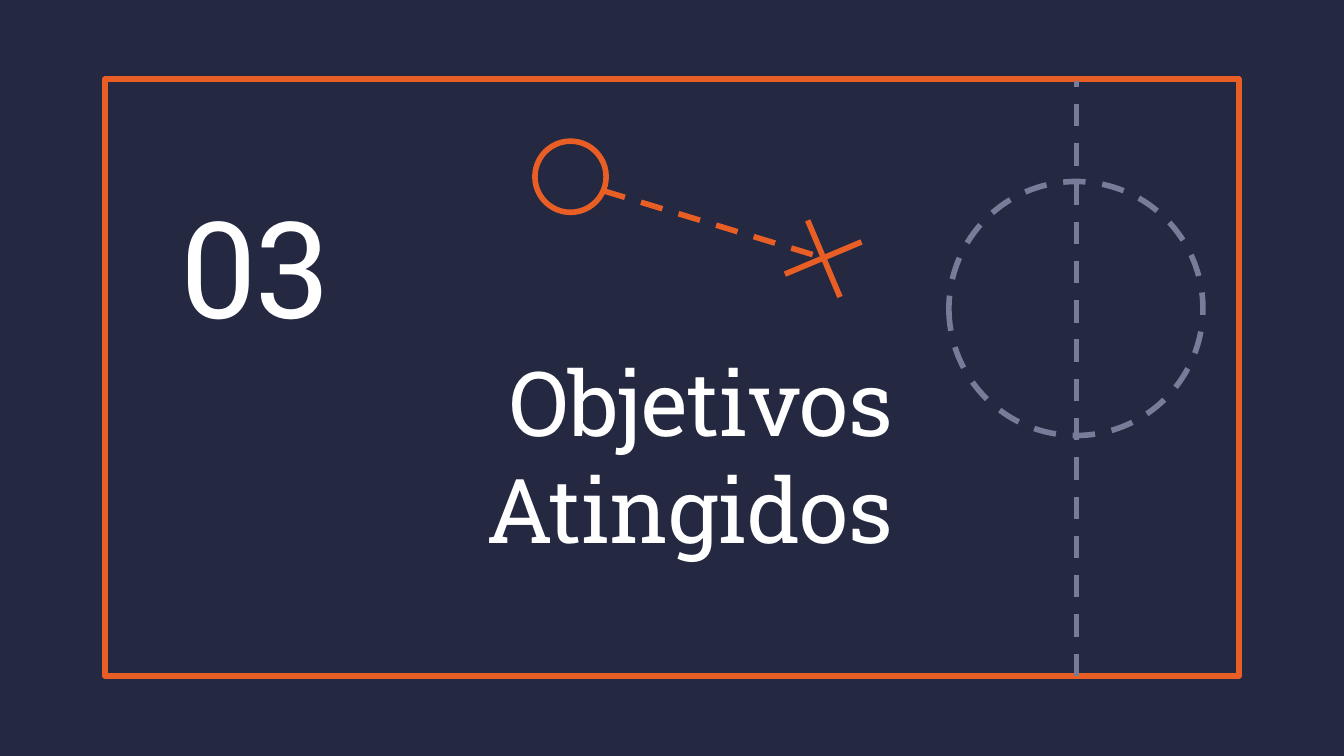
from lxml import etree
from pptx import Presentation
from pptx.dml.color import RGBColor
from pptx.enum.dml import MSO_LINE
from pptx.enum.shapes import MSO_CONNECTOR, MSO_SHAPE
from pptx.enum.text import MSO_ANCHOR, MSO_AUTO_SIZE, PP_ALIGN
from pptx.oxml.ns import qn
from pptx.util import Inches, Pt

NAVY = RGBColor(0x24, 0x28, 0x41)
ORANGE = RGBColor(0xE9, 0x5E, 0x24)
GREY = RGBColor(0x77, 0x7D, 0x99)
WHITE = RGBColor(0xFF, 0xFF, 0xFF)
FONT = "Roboto Slab"
RECT, OVAL = MSO_SHAPE.RECTANGLE, MSO_SHAPE.OVAL
STRAIGHT = MSO_CONNECTOR.STRAIGHT
DASH = MSO_LINE.DASH
LEFT, RIGHT = PP_ALIGN.LEFT, PP_ALIGN.RIGHT
FRAME_FORMAT = {
    "word_wrap": True,
    "auto_size": MSO_AUTO_SIZE.NONE,
    "vertical_anchor": MSO_ANCHOR.MIDDLE,
    "margin_left": Inches(0.1),
    "margin_right": Inches(0.1),
    "margin_top": Inches(0.1),
    "margin_bottom": Inches(0.1),
}


def set_attributes(target, values):
    for name, value in values.items():
        setattr(target, name, value)


def style_line(line, color, dash=None):
    line.color.rgb = color
    line.width = Pt(3)
    if dash:
        line.dash_style = dash


def add_outline(slide, kind, box, color, dash=None, fill=None):
    s = slide.shapes.add_shape(kind, *map(Inches, box))
    s.shadow.inherit = False
    if fill is None:
        s.fill.background()
    else:
        s.fill.solid()
        s.fill.fore_color.rgb = fill
    style_line(s.line, color, dash)
    return s


def flip_horizontally(s):
    s._element.spPr.find(qn("a:xfrm")).set("flipH", "1")


def add_line(slide, start, end, color, dash=None):
    s = slide.shapes.add_connector(STRAIGHT, *map(Inches, start + end))
    style_line(s.line, color, dash)
    etree.SubElement(s._element.spPr, qn("a:effectLst"))


def fill_placeholder(sp, box, text, size, align, space_after=0):
    sp.left, sp.top, sp.width, sp.height = map(Inches, box)
    tf = sp.text_frame
    set_attributes(tf, FRAME_FORMAT)
    p = tf.paragraphs[0]
    set_attributes(p, {"alignment": align, "space_before": Pt(0),
                       "space_after": Pt(space_after)})
    r = p.add_run()
    r.text = text
    set_attributes(r.font, {"name": FONT, "size": Pt(size), "bold": False})
    r.font.color.rgb = WHITE


def main():
    prs = Presentation()
    # Widescreen 16:9
    prs.slide_width, prs.slide_height = Inches(10), Inches(10 * 9 / 16)
    slide = prs.slides.add_slide(prs.slide_layouts[0])
    slide.background.fill.solid()
    slide.background.fill.fore_color.rgb = NAVY

    # Frame, section title and number
    add_outline(slide, RECT, (0.78, 0.59, 8.44, 4.44), ORANGE)
    title, number = slide.placeholders
    fill_placeholder(title, (1.48, 2.69, 5.27, 1.38), "Objetivos Atingidos",
                     48, RIGHT, space_after=12)
    fill_placeholder(number, (1.24, 1.06, 2.35, 1.82), "03", 72, LEFT)

    # Halfway line and centre circle of the pitch
    add_line(slide, (8.01, 5.03), (8.01, 0.6), GREY, DASH)
    circle = add_outline(slide, OVAL, (7.06, 1.35, 1.89, 1.89), GREY, DASH)
    circle.rotation = 180
    flip_horizontally(circle)

    # Play: a player, a cross and the path between them
    player = add_outline(slide, OVAL, (3.98, 1.05, 0.53, 0.53), ORANGE,
                         fill=NAVY)
    player.rotation = 202
    flip_horizontally(player)
    add_line(slide, (5.84, 2.04), (6.41, 1.8), ORANGE)
    add_line(slide, (6.25, 2.21), (6.01, 1.64), ORANGE)
    add_line(slide, (4.49, 1.42), (6.13, 1.92), ORANGE, DASH)

    prs.save("out.pptx")


if __name__ == "__main__":
    main()
